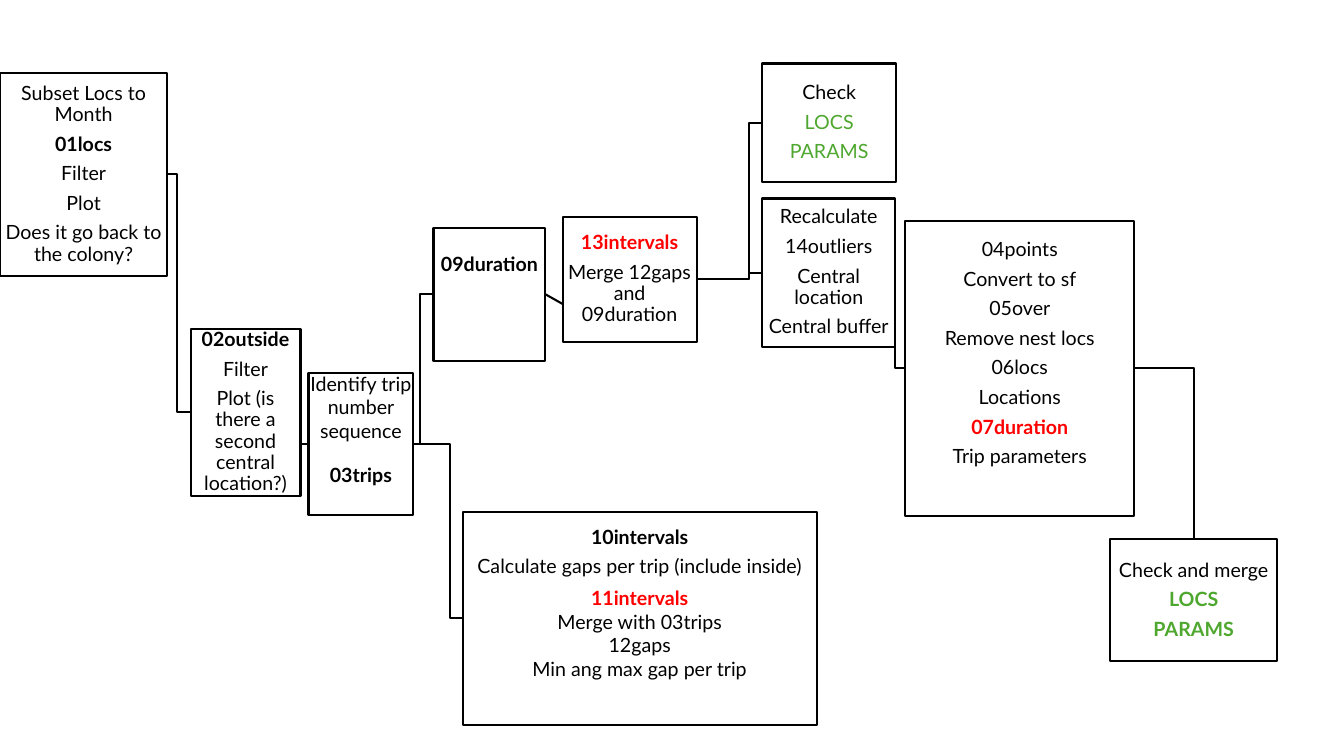
import pptx
import pptx.util
import pptx.dml.color
import pptx.enum.shapes
import pptx.enum.text
import lxml.etree
import pptx.oxml.ns

BLACK = pptx.dml.color.RGBColor(0x00, 0x00, 0x00)
WHITE = pptx.dml.color.RGBColor(0xFF, 0xFF, 0xFF)
RED = pptx.dml.color.RGBColor(0xFF, 0x00, 0x00)
GREEN = pptx.dml.color.RGBColor(0x4E, 0xA7, 0x2E)

CELL = pptx.util.Inches(0.1)  # side of one grid square
LINE_WIDTH = pptx.util.Pt(1.5)
INSET = pptx.util.Inches(0.01)
SPARE_LINE = 2.9  # height of one free text line, in rows

# colour, bold, line spacing, space after in points
STYLES = {
    "plain": (BLACK, False, 0.9, 6),
    "bold": (BLACK, True, 0.9, 6),
    "red": (RED, True, 0.9, 6),
    "green": (GREEN, False, 0.9, 6),
    "green bold": (GREEN, True, 0.9, 6),
    "tight": (BLACK, False, 1.0, 0),
    "red tight": (RED, True, 1.0, 0),
    "apart": (BLACK, False, 1.0, 17),
}

# name: (column, row, columns wide, rows high), free lines at the bottom, paragraphs
STEPS = {
    "locs": ((0, 7.2, 16.6, 20.2), 0, [
        ("Subset Locs to Month", "plain"), ("01locs", "bold"), ("Filter", "plain"),
        ("Plot", "plain"), ("Does it go back to the colony?", "plain")]),
    "outside": ((18.9, 32.6, 10.9, 16.6), 0, [
        ("02outside", "bold"), ("Filter", "plain"),
        ("Plot (is there a second central location?)", "plain")]),
    "trips": ((30.6, 37, 10.4, 14.1), 1, [
        ("Identify trip number sequence", "apart"), ("03trips", "bold")]),
    "duration": ((43, 22.6, 11.1, 13.2), 2, [("09duration", "bold")]),
    "merge": ((55.8, 21.5, 13.3, 12.4), 0, [
        ("13intervals", "red"), ("Merge 12gaps and 09duration", "plain")]),
    "check": ((75.6, 6.3, 13.3, 11.8), 0, [
        ("Check", "plain"), ("LOCS", "green"), ("PARAMS", "green")]),
    "recalculate": ((75.6, 19.7, 13.2, 14.7), 0, [
        ("Recalculate", "plain"), ("14outliers", "plain"),
        ("Central location", "plain"), ("Central buffer", "plain")]),
    "points": ((89.8, 21.9, 22.7, 29.3), 1, [
        ("04points", "plain"), ("Convert to sf", "plain"), ("05over", "plain"),
        ("Remove nest locs", "plain"), ("06locs", "plain"), ("Locations", "plain"),
        ("07duration", "red"), ("Trip parameters", "plain")]),
    "final check": ((110.1, 53.5, 16.6, 12.1), 0, [
        ("Check and merge", "plain"), ("LOCS", "green bold"), ("PARAMS", "green bold")]),
    "gaps": ((45.9, 50.8, 35.1, 21.1), 1, [
        ("10intervals", "bold"), ("Calculate gaps per trip (include inside)", "plain"),
        ("11intervals", "red tight"), ("Merge with 03trips", "tight"),
        ("12gaps", "tight"), ("Min ang max gap per trip", "tight")]),
}

# from, to, side of the target, column of the bend (None: straight line)
LINKS = [
    ("trips", "gaps", "left", 44.6),
    ("points", "final check", "top", 118.4),
    ("recalculate", "points", "left", 88.8),
    ("merge", "recalculate", "left", 74.3),
    ("merge", "check", "left", 74.3),
    ("duration", "merge", "bottom", None),
    ("trips", "duration", "left", 41.7),
    ("outside", "trips", "left", 29.8),
    ("locs", "outside", "left", 17.6),
]


def anchor(step, side):
    """Return the column and row of the middle of one side of a step's box."""
    column, row, width, height = STEPS[step][0]
    return {
        "left": (column, row + height / 2),
        "right": (column + width, row + height / 2),
        "top": (column + width / 2, row),
        "bottom": (column + width / 2, row + height),
    }[side]


presentation = pptx.Presentation()
presentation.slide_width = pptx.util.Inches(13.33)
presentation.slide_height = pptx.util.Inches(7.5)
slide = presentation.slides.add_slide(presentation.slide_layouts[6])

for source, target, side, bend in LINKS:
    start, end = anchor(source, "right"), anchor(target, side)
    kind = pptx.enum.shapes.MSO_CONNECTOR.ELBOW
    if bend is None:
        kind = pptx.enum.shapes.MSO_CONNECTOR.STRAIGHT
    connector = slide.shapes.add_connector(
        kind, *[round(place * CELL) for place in start + end])
    connector.line.color.rgb = BLACK
    connector.line.width = LINE_WIDTH
    properties = connector._element.spPr
    lxml.etree.SubElement(properties, pptx.oxml.ns.qn("a:effectLst"))
    if bend is not None:
        share = (bend - start[0]) / (end[0] - start[0])
        adjustments = properties.find(pptx.oxml.ns.qn("a:prstGeom")).get_or_add_avLst()
        guide = lxml.etree.SubElement(adjustments, pptx.oxml.ns.qn("a:gd"))
        guide.set("name", "adj1")
        guide.set("fmla", f"val {round(share * 100000)}")

for place, free_lines, paragraphs in STEPS.values():
    box = slide.shapes.add_shape(
        pptx.enum.shapes.MSO_SHAPE.RECTANGLE, *[round(length * CELL) for length in place])
    box.shadow.inherit = False
    box.fill.solid()
    box.fill.fore_color.rgb = WHITE
    box.line.color.rgb = BLACK
    box.line.width = LINE_WIDTH

    frame = box.text_frame
    frame.word_wrap = True
    frame.vertical_anchor = pptx.enum.text.MSO_ANCHOR.MIDDLE
    frame.margin_left = frame.margin_right = frame.margin_top = INSET
    frame.margin_bottom = INSET + round(free_lines * SPARE_LINE * CELL)

    for number, (text, style) in enumerate(paragraphs):
        paragraph = frame.add_paragraph() if number else frame.paragraphs[0]
        paragraph.text = text
        color, bold, spacing, after = STYLES[style]
        paragraph.alignment = pptx.enum.text.PP_ALIGN.CENTER
        paragraph.line_spacing = spacing
        paragraph.space_after = pptx.util.Pt(after)
        paragraph.font.name = "Lato"
        paragraph.font.size = pptx.util.Pt(14)
        paragraph.font.bold = bold
        paragraph.font.color.rgb = color

presentation.save("out.pptx")
